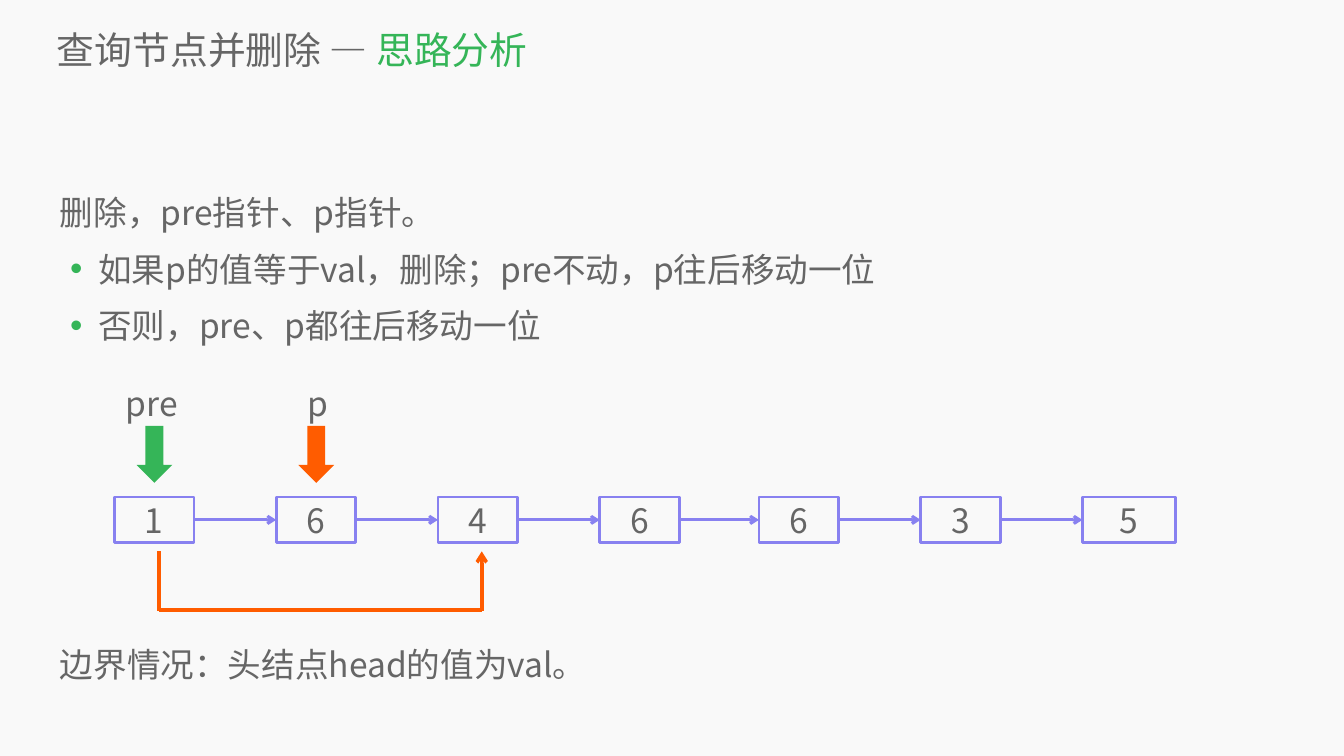
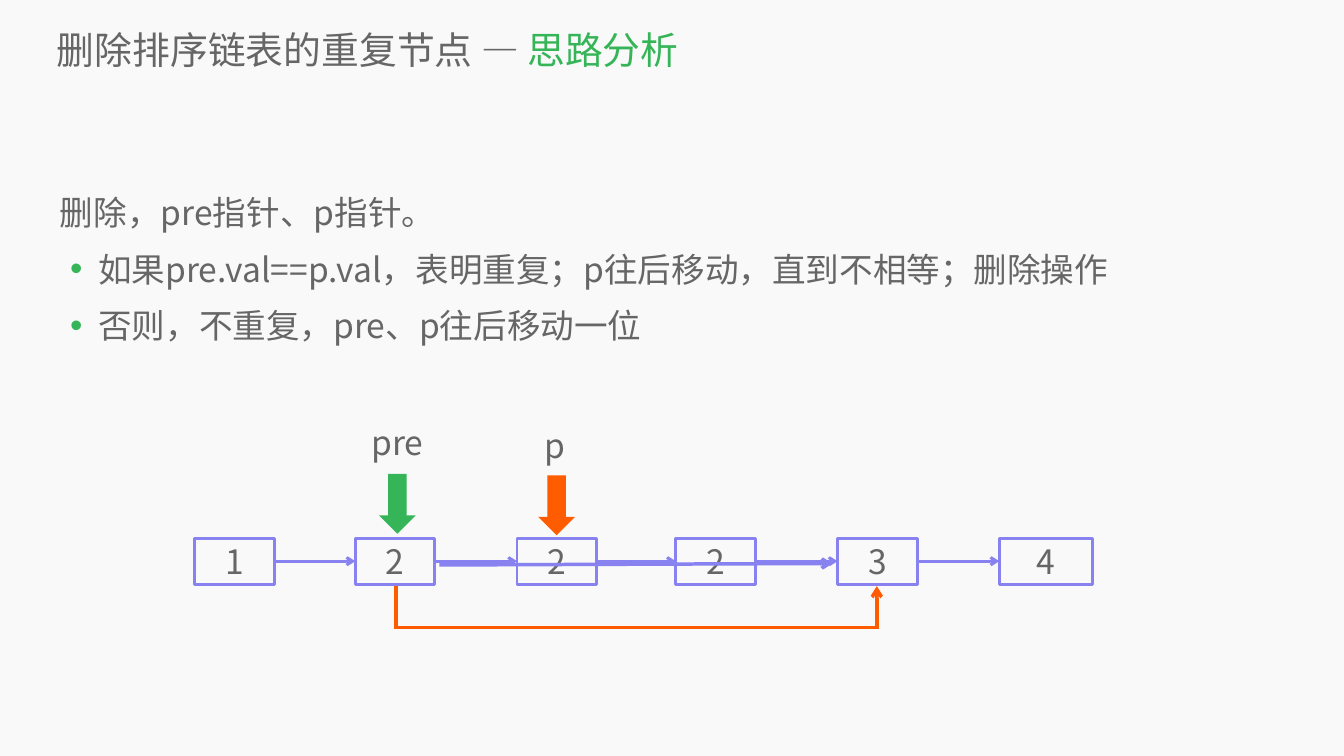
import pptx
import pptx.dml.color
import pptx.enum.shapes
import pptx.enum.text
import pptx.oxml.ns
import pptx.util
from lxml import etree

Inches = pptx.util.Inches
Pt = pptx.util.Pt
MSO_SHAPE = pptx.enum.shapes.MSO_SHAPE
ALIGN = pptx.enum.text.PP_ALIGN
ANCHOR = pptx.enum.text.MSO_ANCHOR
qn = pptx.oxml.ns.qn

# Shared look
FONT = "Noto Sans CJK SC"
BACKGROUND, GREY = "F9F9F9", "666666"
GREEN, ORANGE, PURPLE = "35B558", "FF5C00", "8881F0"
TITLE_SIZE, BODY_SIZE = 54, 48
LINE_SPACING = 1.4
NODE_WIDTH, LAST_NODE_WIDTH, NODE_HEIGHT = 1.58, 1.85, 0.91
RIGHT_SIDE, LEFT_SIDE = 3, 1


def color(value):
    return pptx.dml.color.RGBColor.from_string(value)


def add_run(paragraph, text, size=BODY_SIZE, fill=GREY):
    run = paragraph.add_run()
    run.text = text
    run.font.size = Pt(size)
    run.font.color.rgb = color(fill)
    run.font.name = FONT
    etree.SubElement(run._r.get_or_add_rPr(), qn("a:ea"), typeface=FONT)


def add_bullet(paragraph):
    properties = paragraph._p.get_or_add_pPr()
    properties.set("marL", str(Inches(0.76)))
    properties.set("indent", str(Inches(-0.56)))
    bullet_color = etree.SubElement(properties, qn("a:buClr"))
    etree.SubElement(bullet_color, qn("a:srgbClr"), val=GREEN)
    etree.SubElement(properties, qn("a:buSzPct"), val="105000")
    etree.SubElement(properties, qn("a:buFont"), typeface="Arial")
    etree.SubElement(properties, qn("a:buChar"), char="•")


def format_frame(frame, inset=0.0, anchor=ANCHOR.TOP, wrap=True):
    frame.word_wrap = wrap
    frame.auto_size = pptx.enum.text.MSO_AUTO_SIZE.NONE
    frame.vertical_anchor = anchor
    frame.margin_left = frame.margin_right = Inches(inset)
    frame.margin_top = frame.margin_bottom = Inches(inset / 2)


def add_text(shapes, lines, left, top, width, height, inset=0.0,
             spacing=None, bullets=False, wrap=True):
    """Add a text box; with bullets, every line after the first has one."""
    box = shapes.add_textbox(Inches(left), Inches(top), Inches(width), Inches(height))
    frame = box.text_frame
    format_frame(frame, inset, wrap=wrap)
    for index, line in enumerate(lines):
        paragraph = frame.add_paragraph() if index else frame.paragraphs[0]
        if bullets and index:
            add_bullet(paragraph)
        if spacing:
            paragraph.line_spacing = spacing
        add_run(paragraph, line)


def add_shape(shapes, kind, left, top, width, height, fill=None, line=None):
    shape = shapes.add_shape(kind, Inches(left), Inches(top), Inches(width), Inches(height))
    shape.shadow.inherit = False
    if fill:
        shape.fill.solid()
        shape.fill.fore_color.rgb = color(fill)
    else:
        shape.fill.background()
    if line:
        shape.line.color.rgb = color(line)
        shape.line.width = Pt(4)
    else:
        shape.line.fill.background()
    return shape


def add_line(shapes, start, end, stroke, width, arrow=False):
    line = shapes.add_connector(pptx.enum.shapes.MSO_CONNECTOR.STRAIGHT,
                                *(Inches(value) for value in (*start, *end)))
    line.line.color.rgb = color(stroke)
    line.line.width = Pt(width)
    if arrow:
        etree.SubElement(line.line._get_or_add_ln(), qn("a:tailEnd"), type="arrow")
    etree.SubElement(line._element.spPr, qn("a:effectLst"))
    return line


def add_linked_list(shapes, values, lefts, top):
    """Draw the nodes and join each one to the next."""
    previous = None
    for value, left in zip(values, lefts):
        width = LAST_NODE_WIDTH if left == lefts[-1] else NODE_WIDTH
        node = add_shape(shapes, MSO_SHAPE.RECTANGLE, left, top, width, NODE_HEIGHT,
                         line=PURPLE)
        format_frame(node.text_frame, anchor=ANCHOR.MIDDLE)
        paragraph = node.text_frame.paragraphs[0]
        paragraph.alignment = ALIGN.CENTER
        add_run(paragraph, value)
        if previous is not None:
            link = add_line(shapes, (0, 0), (1, 1), PURPLE, 4, arrow=True)
            link.begin_connect(previous, RIGHT_SIDE)
            link.end_connect(node, LEFT_SIDE)
        previous = node


def add_pointer(shapes, label, fill, label_at, arrow_at, arrow_size):
    """Group a pointer's name with its block arrow."""
    group = shapes.add_group_shape().shapes
    add_shape(group, MSO_SHAPE.DOWN_ARROW, *arrow_at, *arrow_size, fill=fill)
    width = 1.45 if len(label) > 1 else 0.73
    add_text(group, [label], *label_at, width, 0.91, inset=0.1, wrap=False)


def add_bypass(shapes, start, end, top, bottom):
    """Draw the new link that runs below the removed nodes."""
    group = shapes.add_group_shape().shapes
    overlap = 0.03  # closes the corners
    add_line(group, (start, top), (start, bottom + overlap), ORANGE, 5)
    add_line(group, (end, bottom), (start, bottom), ORANGE, 5)
    add_line(group, (end, bottom + overlap), (end, top), ORANGE, 5, arrow=True)


def add_slide(presentation, topic, lines):
    """Add a slide with its background, two-colour title and explanation."""
    slide = presentation.slides.add_slide(presentation.slide_layouts[5])
    slide.background.fill.solid()
    slide.background.fill.fore_color.rgb = color(BACKGROUND)
    title = slide.shapes.title
    title.left, title.top = Inches(1.13), Inches(0.47)
    title.width, title.height = Inches(25.16), Inches(1.02)
    format_frame(title.text_frame, anchor=ANCHOR.MIDDLE)
    paragraph = title.text_frame.paragraphs[0]
    paragraph.alignment = ALIGN.LEFT
    add_run(paragraph, f"{topic} — ", size=TITLE_SIZE)
    add_run(paragraph, "思路分析", size=TITLE_SIZE, fill=GREEN)
    add_text(slide.shapes, lines, 1.19, 3.49, 24.28, 3.5,
             spacing=LINE_SPACING, bullets=True)
    return slide.shapes


def add_search_and_delete(presentation):
    shapes = add_slide(presentation, "查询节点并删除", [
        "删除，pre指针、p指针。",
        "如果p的值等于val，删除；pre不动，p往后移动一位",
        "否则，pre、p都往后移动一位",
    ])
    add_text(shapes, ["边界情况：头结点head的值为val。"], 1.19, 12.45, 24.28, 1.4,
             spacing=LINE_SPACING)
    add_linked_list(shapes, "1646635",
                    [2.27, 5.48, 8.69, 11.9, 15.06, 18.27, 21.48], 9.86)
    arrow_size = (0.71, 1.13)
    add_pointer(shapes, "pre", GREEN, (2.4, 7.54), (2.71, 8.45), arrow_size)
    add_pointer(shapes, "p", ORANGE, (6.01, 7.54), (5.92, 8.45), arrow_size)
    add_bypass(shapes, 3.16, 9.56, 10.94, 12.1)


def add_remove_duplicates(presentation):
    shapes = add_slide(presentation, "删除排序链表的重复节点", [
        "删除，pre指针、p指针。",
        "如果pre.val==p.val，表明重复；p往后移动，直到不相等；删除操作",
        "否则，不重复，pre、p往后移动一位",
    ])
    add_linked_list(shapes, "122234",
                    [3.86, 7.05, 10.26, 13.41, 16.62, 19.83], 10.68)
    arrow_size = (0.73, 1.19)
    add_pointer(shapes, "pre", GREEN, (7.27, 8.32), (7.52, 9.4), arrow_size)
    add_pointer(shapes, "p", ORANGE, (10.71, 8.38), (10.68, 9.43), arrow_size)
    add_bypass(shapes, 7.86, 17.4, 11.63, 12.45)
    # Direct link across the duplicates
    add_line(shapes, (8.72, 11.21), (16.52, 11.18), PURPLE, 5, arrow=True)


def main():
    presentation = pptx.Presentation()
    presentation.slide_width = Inches(26.67)
    presentation.slide_height = Inches(15)
    add_search_and_delete(presentation)
    add_remove_duplicates(presentation)
    presentation.save("out.pptx")


if __name__ == "__main__":
    main()
